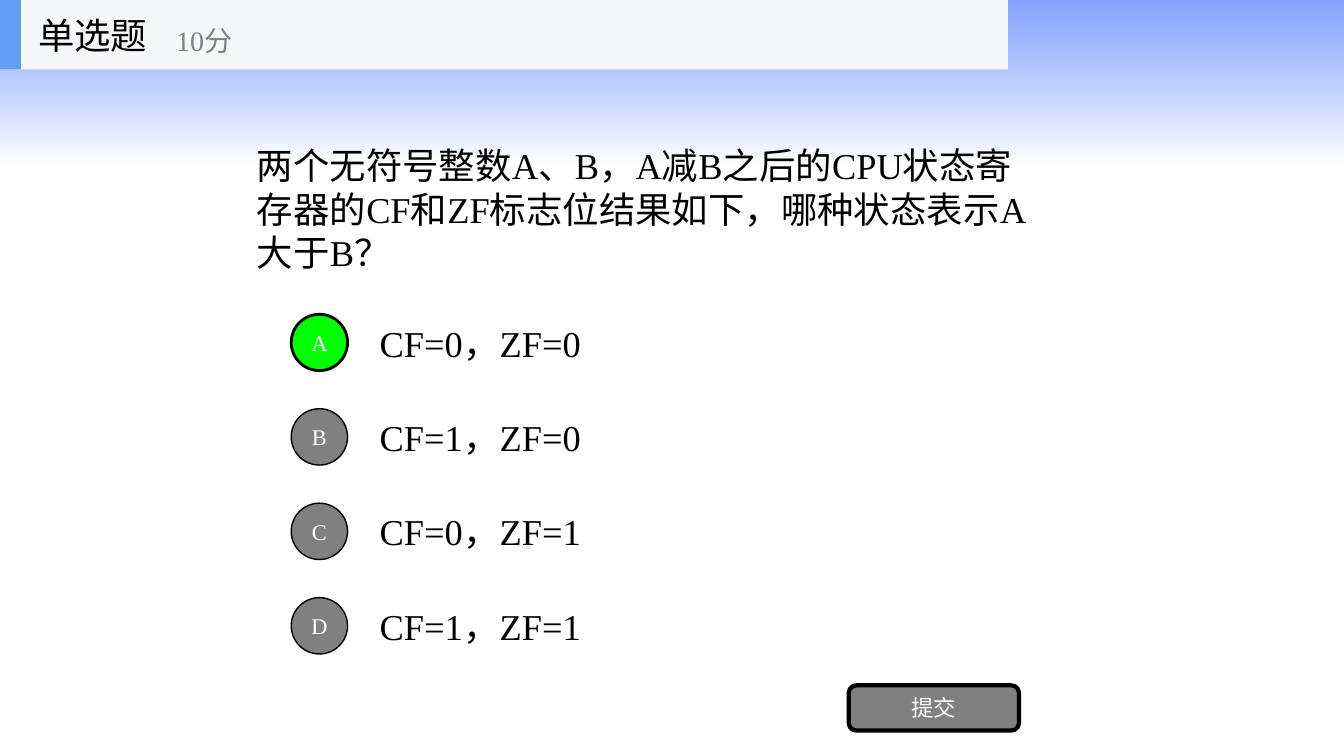
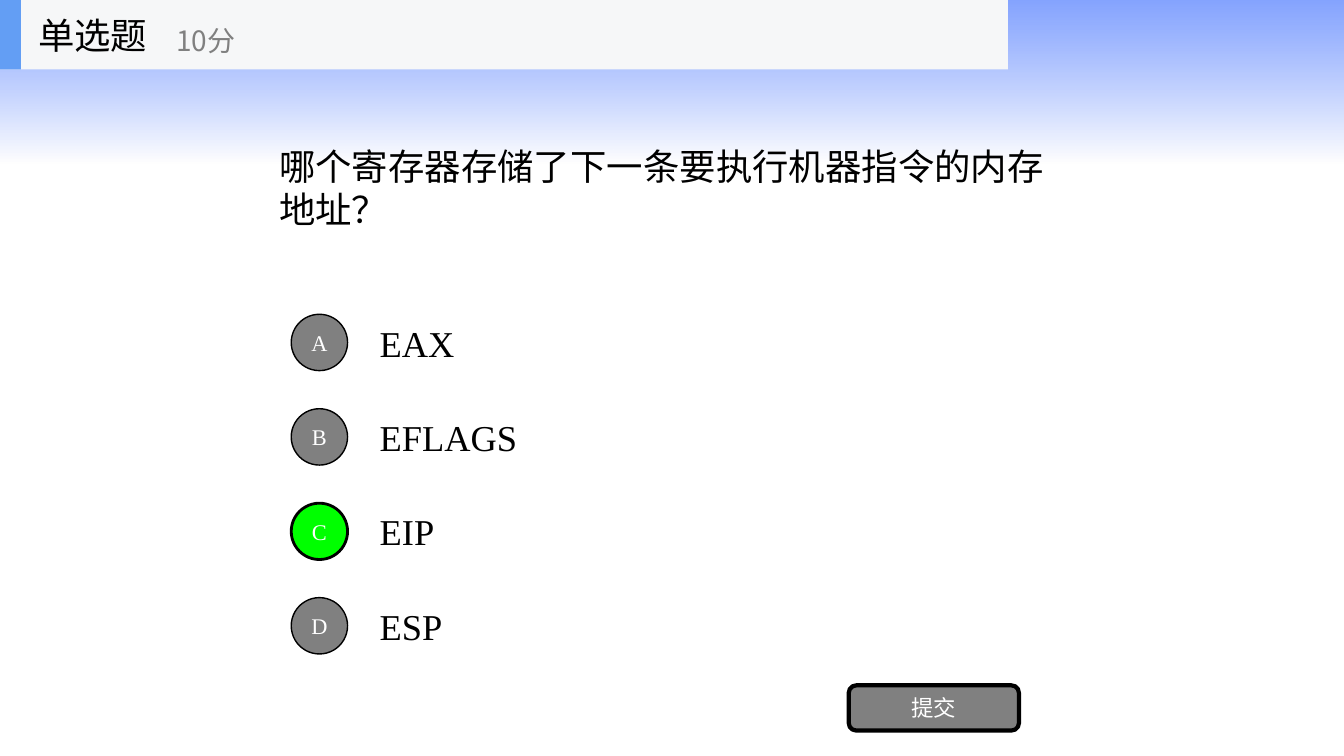
from dataclasses import dataclass

from lxml import etree
from pptx import Presentation
from pptx.dml.color import RGBColor
from pptx.enum.shapes import MSO_SHAPE
from pptx.enum.text import MSO_ANCHOR, MSO_AUTO_SIZE, PP_ALIGN
from pptx.oxml.ns import qn
from pptx.shapes.autoshape import Shape
from pptx.slide import Slide, SlideLayout
from pptx.util import Cm, Pt

RECT, ROUND, OVAL = MSO_SHAPE.RECTANGLE, MSO_SHAPE.ROUNDED_RECTANGLE, MSO_SHAPE.OVAL
LEFT, CENTER = PP_ALIGN.LEFT, PP_ALIGN.CENTER
MIDDLE = MSO_ANCHOR.MIDDLE
NO_FIT = MSO_AUTO_SIZE.NONE

COLORS = {
    "ink": "000000",
    "white": "FFFFFF",
    "gray": "808080",
    "right": "00FF00",
    "sky": "3366FF",
    "bar": "F6F7F8",
    "tab": "639EF4",
}
SERIF, SANS = "Times New Roman", "Noto Sans CJK SC"
WIDTH, HEIGHT = 33.87, 19.05
HEAD = 1.75  # height of the header bar
FIRST, STEP = 8.63, 2.38  # centre of the first choice, distance to the next
DOT, ROW = 1.42, 1.78  # diameter of a choice mark, height of its text

Box = tuple[float, float, float, float]


@dataclass(frozen=True)
class Quiz:
    ask: str
    spot: tuple[float, float]
    picks: tuple[str, ...]
    answer: int
    font: str = SERIF  # font of the score


QUIZZES = (
    Quiz("两个无符号整数A、B，A减B之后的CPU状态寄存器的CF和ZF标志位结果如下，哪种状态表示A大于B？",
         (6.22, 2.29), ("CF=0，ZF=0", "CF=1，ZF=0", "CF=0，ZF=1", "CF=1，ZF=1"), 0),
    Quiz("哪个寄存器存储了下一条要执行机器指令的内存地址？",
         (6.78, 1.75), ("EAX", "EFLAGS", "EIP", "ESP"), 2, SANS),
)


def color(name: str) -> RGBColor:
    return RGBColor.from_string(COLORS[name])


def write(shape: Shape, text: str, *, size: float = 26, ink: str = "ink",
          font: str = SERIF, align: PP_ALIGN = LEFT) -> None:
    frame = shape.text_frame
    frame.word_wrap = True
    frame.auto_size = NO_FIT
    frame.vertical_anchor = MIDDLE
    para = frame.paragraphs[0]
    para.alignment = align
    run = para.add_run()
    run.text = text
    run.font.size = Pt(size)
    run.font.name = font
    run.font.color.rgb = color(ink)
    east = etree.SubElement(run.font._element, qn("a:ea"))
    east.set("typeface", SANS)


def label(slide: Slide, box: Box, text: str, **style) -> None:
    write(slide.shapes.add_textbox(*map(Cm, box)), text, **style)


def block(slide: Slide, kind: MSO_SHAPE, box: Box, fill: str,
          edge: float = 0, text: str = "") -> Shape:
    """Draw a filled shape, outlined if edge is set, with an optional caption."""
    shape = slide.shapes.add_shape(kind, *map(Cm, box))
    shape.shadow.inherit = False
    shape.fill.solid()
    shape.fill.fore_color.rgb = color(fill)
    if edge:
        shape.line.color.rgb = color("ink")
        shape.line.width = Pt(edge)
    else:
        shape.line.fill.background()
    if text:
        frame = shape.text_frame
        frame.margin_left = frame.margin_right = 0
        frame.margin_top = frame.margin_bottom = 0
        write(shape, text, size=16, ink="white", align=CENTER)
    return shape


def add_sky(slide: Slide, layout: SlideLayout) -> None:
    """Draw the fading band and move it to the layout, so all slides share it."""
    band = block(slide, RECT, (0, 0, WIDTH, 4.11), "sky")
    band.fill.gradient()
    band.fill.gradient_angle = 270
    for stop, name in zip(band.fill.gradient_stops, ("sky", "white")):
        stop.color.rgb = color(name)
    for tint, alpha in zip(band.element.iter(qn("a:srgbClr")), (60, 70)):
        etree.SubElement(tint, qn("a:alpha")).set("val", str(alpha * 1000))
    layout.shapes.element.insert(2, band.element)


def add_head(slide: Slide, font: str) -> None:
    block(slide, RECT, (0, 0, 25.4, HEAD), "bar")
    block(slide, RECT, (0, 0, 0.53, HEAD), "tab")
    label(slide, (0.71, 0, 5.28, HEAD), "单选题")
    label(slide, (4.19, 0.3, 6.35, 1.42), "10分", size=20, ink="gray", font=font)


def add_quiz(slide: Slide, quiz: Quiz) -> None:
    title = slide.shapes.title
    title.left, title.top = map(Cm, quiz.spot)
    title.width, title.height = Cm(20.32), Cm(5.94)
    write(title, quiz.ask)
    for i, (mark, pick) in enumerate(zip("ABCD", quiz.picks)):
        mid = FIRST + i * STEP
        label(slide, (9.32, mid - ROW / 2, 17.78, ROW), pick)
        fill, edge = ("right", 2) if i == quiz.answer else ("gray", 1)
        block(slide, OVAL, (7.34, mid - DOT / 2, DOT, DOT), fill, edge, mark)
    block(slide, ROUND, (21.39, 17.27, 4.29, 1.14), "gray", 3, "提交")
    add_head(slide, quiz.font)


def main() -> None:
    deck = Presentation()
    deck.slide_width, deck.slide_height = Cm(WIDTH), Cm(HEIGHT)
    layout = deck.slide_layouts[5]
    for i, quiz in enumerate(QUIZZES):
        slide = deck.slides.add_slide(layout)
        if i == 0:
            add_sky(slide, layout)
        add_quiz(slide, quiz)
    deck.save("out.pptx")


if __name__ == "__main__":
    main()
